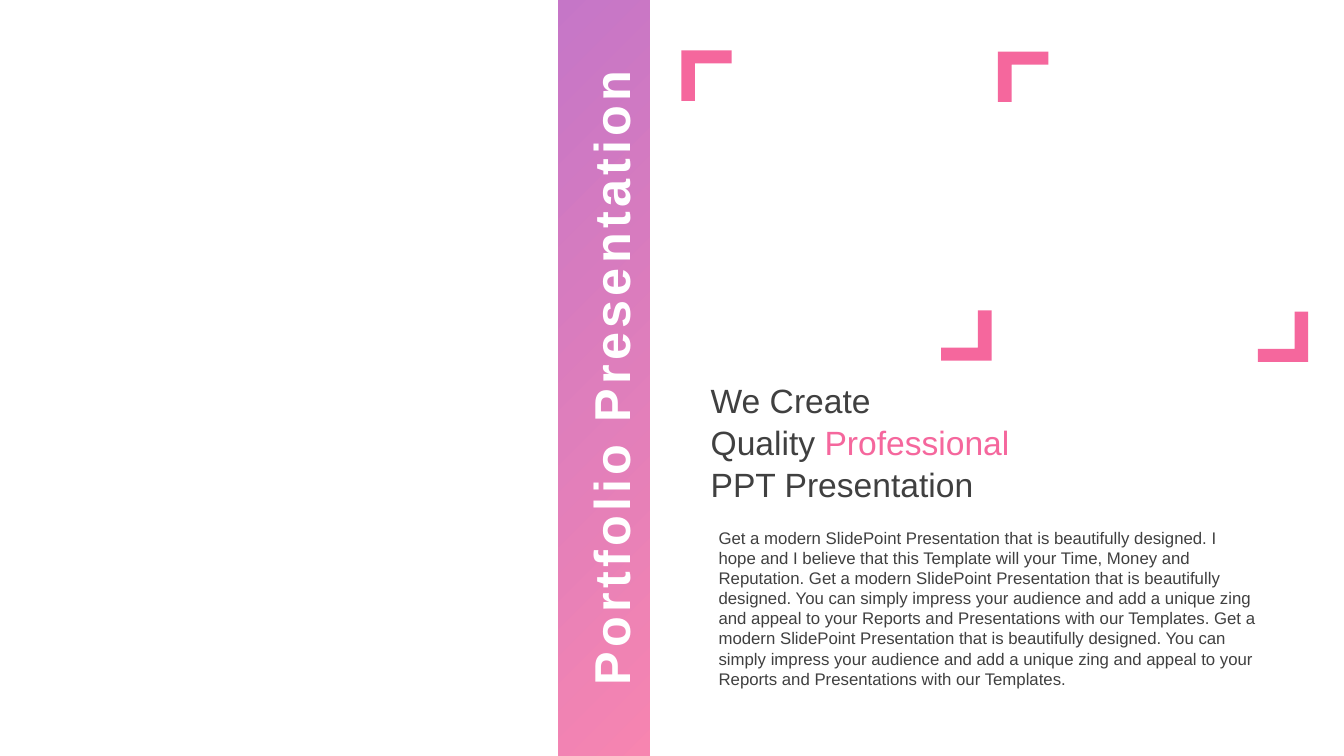
from dataclasses import dataclass

from lxml.etree import SubElement
from pptx import Presentation
from pptx.dml.color import RGBColor as Rgb
from pptx.enum.shapes import MSO_SHAPE as Preset
from pptx.enum.text import MSO_AUTO_SIZE as AutoSize, PP_ALIGN as Align
from pptx.oxml.ns import qn
from pptx.util import Cm, Pt


@dataclass(frozen=True)
class Theme:
    font: str = "Arial"
    pink: str = "F5679D"
    purple: str = "B754BA"
    ink: str = "404040"
    white: str = "FFFFFF"
    banner_size: int = 36
    headline_size: int = 24
    body_size: int = 12


class SlideBuilder:
    """Draws styled elements on one slide; all lengths are in centimetres."""

    def __init__(self, slide, theme):
        self.slide = slide
        self.theme = theme

    def rectangle(self, left, top, width, height):
        shape = self.slide.shapes.add_shape(
            Preset.RECTANGLE, Cm(left), Cm(top), Cm(width), Cm(height))
        shape.shadow.inherit = False
        shape.line.fill.background()
        return shape

    def gradient_band(self, left, top, width, height, colors, angle, opacity):
        band = self.rectangle(left, top, width, height)
        band.fill.gradient()
        band.fill.gradient_angle = angle
        for stop, color in zip(band.fill.gradient_stops, colors):
            stop.color.rgb = Rgb.from_string(color)
        for color in band._element.spPr.iter(qn("a:srgbClr")):
            SubElement(color, qn("a:alpha"), val=str(opacity * 1000))

    def corner(self, left, top, size, rotation):
        corner = self.rectangle(left, top, size, size)
        corner.rotation = rotation
        corner.fill.solid()
        corner.fill.fore_color.rgb = Rgb.from_string(self.theme.pink)
        # The L-shaped preset has no member in the shape enumeration
        geometry = corner._element.spPr.find(qn("a:prstGeom"))
        geometry.set("prst", "corner")
        guides = geometry.find(qn("a:avLst"))
        for name, thickness in (("adj1", 27000), ("adj2", 26000)):
            SubElement(guides, qn("a:gd"), name=name, fmla=f"val {thickness}")

    def frame(self, left, top, reach, size=1.27):
        """Marks the upper-left and lower-right corners of a square."""
        self.corner(left, top, size, 90)
        self.corner(left + reach, top + reach, size, 270)

    def text(self, left, top, width, height, lines, size, insets=(0.25, 0.13),
             spacing=None, align=Align.LEFT, bold=False, tracking=0, rotation=0):
        """Each line is a list of (wording, colour) runs."""
        box = self.slide.shapes.add_textbox(
            Cm(left), Cm(top), Cm(width), Cm(height))
        box.rotation = rotation
        frame = box.text_frame
        frame.word_wrap = True
        frame.auto_size = AutoSize.SHAPE_TO_FIT_TEXT
        frame.margin_left = frame.margin_right = Cm(insets[0])
        frame.margin_top = frame.margin_bottom = Cm(insets[1])
        for index, line in enumerate(lines):
            paragraph = frame.add_paragraph() if index else frame.paragraphs[0]
            paragraph.alignment = align
            paragraph.line_spacing = spacing
            for wording, color in line:
                run = paragraph.add_run()
                run.text = wording
                run.font.name = self.theme.font
                run.font.size = Pt(size)
                run.font.bold = bold
                run.font.color.rgb = Rgb.from_string(color)
                if tracking:
                    run._r.get_or_add_rPr().set("spc", str(tracking * 100))


def main():
    deck = Presentation()
    deck.slide_width, deck.slide_height = Cm(33.87), Cm(19.05)
    theme = Theme()
    page = SlideBuilder(deck.slides.add_slide(deck.slide_layouts[6]), theme)

    # Headline
    headline = [
        [("We Create", theme.ink)],
        [("Quality ", theme.ink), ("Professional", theme.pink)],
        [("PPT Presentation", theme.ink)],
    ]
    page.text(17.81, 9.53, 8.05, 3.2, headline, theme.headline_size,
              insets=(0.1, 0), spacing=Pt(30))

    # Description
    opening = "Get a modern SlidePoint Presentation that is beautifully designed. "
    promise = ("I hope and I believe that this Template will your Time, "
               "Money and Reputation. ")
    appeal = ("You can simply impress your audience and add a unique zing and "
              "appeal to your Reports and Presentations with our Templates.")
    description = opening + promise + " ".join([opening + appeal] * 2)
    page.text(17.81, 13.16, 14.22, 4.37, [[(description, theme.ink)]],
              theme.body_size, insets=(0.3, 0.13))

    # Vertical banner
    page.gradient_band(14.07, 0, 2.31, 19.05, (theme.pink, theme.purple),
                       angle=135, opacity=80)
    page.text(5.72, 8.61, 19.05, 1.83,
              [[("Portfolio Presentation", theme.white)]], theme.banner_size,
              spacing=1.1, align=Align.CENTER, bold=True, tracking=3,
              rotation=270)

    # Corner frames
    for left, top in ((17.17, 1.27), (25.15, 1.3)):
        page.frame(left, top, reach=6.55)

    deck.save("out.pptx")


if __name__ == "__main__":
    main()
